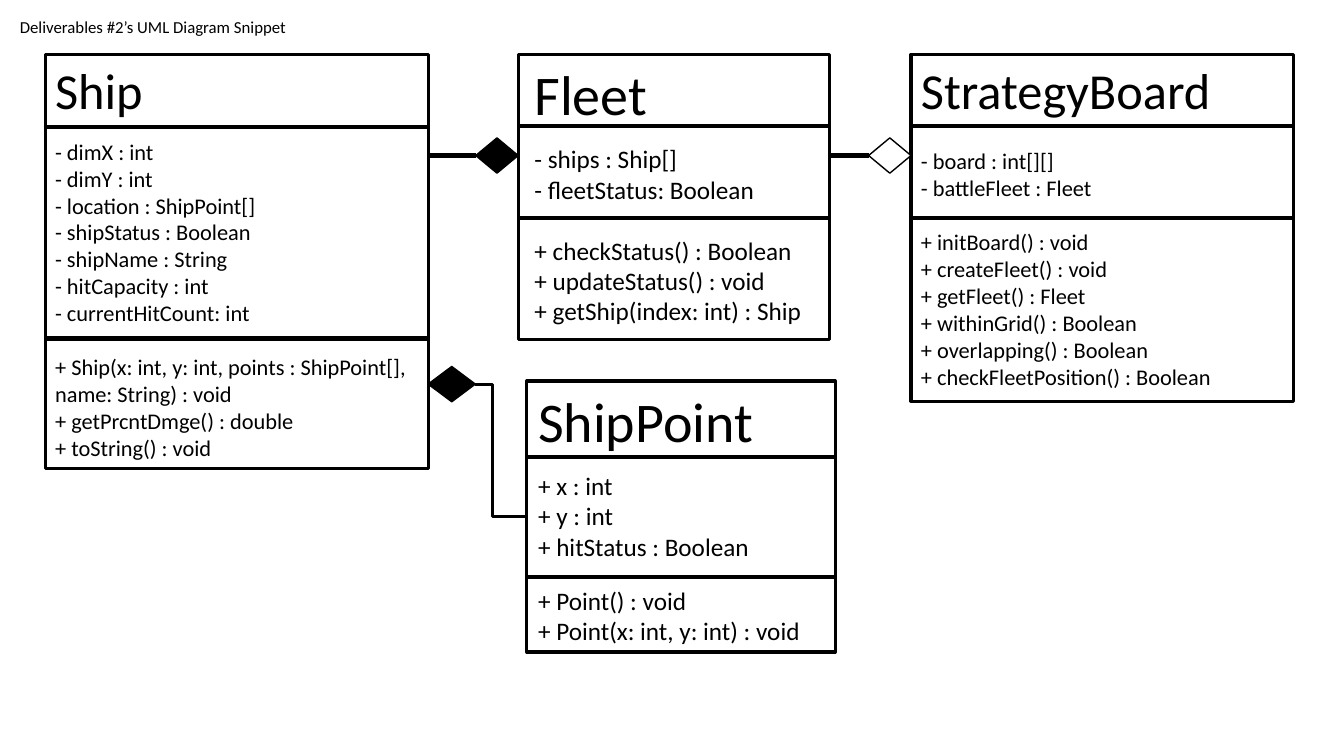
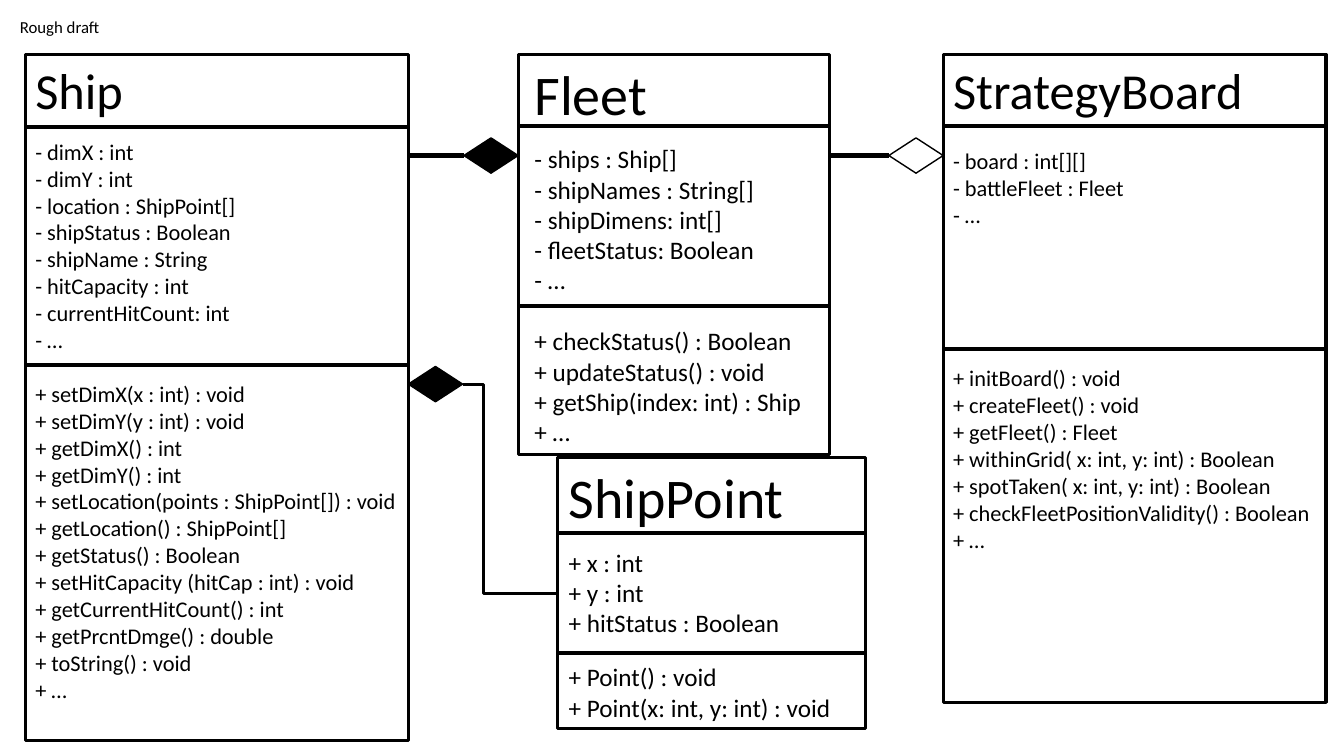
from dataclasses import dataclass

from lxml import etree
from pptx import Presentation
from pptx.dml.color import RGBColor
from pptx.enum.shapes import MSO_CONNECTOR, MSO_SHAPE
from pptx.enum.text import MSO_ANCHOR, MSO_AUTO_SIZE, PP_ALIGN
from pptx.oxml.ns import qn
from pptx.shapes.autoshape import Shape
from pptx.shapes.connector import Connector
from pptx.slide import Slide
from pptx.text.text import TextFrame
from pptx.util import Cm, Pt

STRAIGHT, ELBOW = MSO_CONNECTOR.STRAIGHT, MSO_CONNECTOR.ELBOW
RECTANGLE, DIAMOND = MSO_SHAPE.RECTANGLE, MSO_SHAPE.DIAMOND
TOP, LEFT_ALIGNED = MSO_ANCHOR.TOP, PP_ALIGN.LEFT
NO_AUTOFIT = MSO_AUTO_SIZE.NONE
LEFT_SIDE, RIGHT_SIDE = 1, 3

COLORS = {"ink": "000000", "paper": "FFFFFF"}
FONT = "Calibri"
LINE_HEIGHT = 1.22  # height of one Calibri line, relative to its size
TITLE_ONLY_LAYOUT = 5
TOP_ROW = 1.37
ASSOCIATION_Y = 3.92
POINT_ASSOCIATION_Y = 9.68
DIAMOND_HEIGHT = 0.89


@dataclass(frozen=True)
class Section:
    divider: float  # cm below the top of the class box
    gap: float  # size in points of the line left free above the members
    members: tuple[str, ...]


@dataclass(frozen=True)
class ClassBox:
    name: str
    left: float
    top: float
    width: float
    height: float
    inset: float
    name_size: int
    member_size: int
    sections: tuple[Section, Section]

    @property
    def right(self) -> float:
        return self.left + self.width


@dataclass(frozen=True)
class Diagram:
    caption: str
    ship: ClassBox
    fleet: ClassBox
    board: ClassBox
    point: ClassBox
    diamond_width: float
    point_diamond_width: float
    elbow: float  # share of the width at which the connector turns


# Class boxes, one function per class
SHIP_FIELDS = (
    "- dimX : int", "- dimY : int", "- location : ShipPoint[]",
    "- shipStatus : Boolean", "- shipName : String",
    "- hitCapacity : int", "- currentHitCount: int",
)
SHIP_QUERIES = ("+ getPrcntDmge() : double", "+ toString() : void")
FLEET_METHODS = (
    "+ checkStatus() : Boolean", "+ updateStatus() : void",
    "+ getShip(index: int) : Ship",
)
BOARD_FIELDS = ("- board : int[][]", "- battleFleet : Fleet")
BOARD_METHODS = (
    "+ initBoard() : void", "+ createFleet() : void", "+ getFleet() : Fleet",
)
MORE_FIELDS, MORE_METHODS = ("- …",), ("+ …",)


def ship_box(left: float, height: float, divider: float,
             fields: tuple[str, ...], methods: tuple[str, ...]) -> ClassBox:
    return ClassBox("Ship", left, TOP_ROW, 9.65, height, 0.25, 36, 16,
                    (Section(1.83, 10.5, fields), Section(divider, 16, methods)))


def fleet_box(height: float, divider: float,
              fields: tuple[str, ...], methods: tuple[str, ...]) -> ClassBox:
    return ClassBox("Fleet", 13.06, TOP_ROW, 7.85, height, 0.41, 40, 18,
                    (Section(1.81, 10, fields), Section(divider, 18, methods)))


def board_box(left: float, height: float, divider: float, gap: float,
              fields: tuple[str, ...], methods: tuple[str, ...]) -> ClassBox:
    return ClassBox("StrategyBoard", left, TOP_ROW, 9.65, height, 0.25, 36, 16,
                    (Section(1.81, 16, fields), Section(divider, gap, methods)))


def point_box(left: float, top: float) -> ClassBox:
    fields = ("+ x : int", "+ y : int", "+ hitStatus : Boolean")
    methods = ("+ Point() : void", "+ Point(x: int, y: int) : void")
    return ClassBox("ShipPoint", left, top, 7.77, 6.83, 0.28, 40, 18,
                    (Section(1.91, 10, fields), Section(4.93, 14, methods)))


DIAGRAMS = (
    Diagram(
        "Deliverables #2’s UML Diagram Snippet",
        ship_box(1.14, 10.44, 7.16, SHIP_FIELDS, (
            "+ Ship(x: int, y: int, points : ShipPoint[], name: String) : void",
            *SHIP_QUERIES)),
        fleet_box(7.19, 4.12, ("- ships : Ship[]", "- fleetStatus: Boolean"),
                  FLEET_METHODS),
        board_box(22.96, 8.74, 4.12, 16, BOARD_FIELDS, (
            *BOARD_METHODS, "+ withinGrid() : Boolean",
            "+ overlapping() : Boolean", "+ checkFleetPosition() : Boolean")),
        point_box(13.28, 9.6),
        diamond_width=1.07, point_diamond_width=1.19, elbow=0.33,
    ),
    Diagram(
        "Rough draft",
        ship_box(0.64, 17.3, 7.82, SHIP_FIELDS + MORE_FIELDS, (
            "+ setDimX(x : int) : void", "+ setDimY(y : int) : void",
            "+ getDimX() : int", "+ getDimY() : int",
            "+ setLocation(points : ShipPoint[]) : void",
            "+ getLocation() : ShipPoint[]", "+ getStatus() : Boolean",
            "+ setHitCapacity (hitCap : int) : void",
            "+ getCurrentHitCount() : int", *SHIP_QUERIES, *MORE_METHODS)),
        fleet_box(10.08, 6.35, (
            "- ships : Ship[]", "- shipNames : String[]",
            "- shipDimens: int[]", "- fleetStatus: Boolean", *MORE_FIELDS),
            FLEET_METHODS + MORE_METHODS),
        board_box(23.77, 16.33, 7.42, 80, BOARD_FIELDS + MORE_FIELDS, (
            *BOARD_METHODS, "+ withinGrid( x: int, y: int) : Boolean",
            "+ spotTaken( x: int, y: int) : Boolean",
            "+ checkFleetPositionValidity() : Boolean", *MORE_METHODS)),
        point_box(14.05, 11.53),
        diamond_width=1.37, point_diamond_width=1.37, elbow=0.22,
    ),
)


def color(name: str) -> RGBColor:
    return RGBColor.from_string(COLORS[name])


def write_line(frame: TextFrame, text: str, size: float, first: bool = False,
               space_before: float = 0) -> None:
    paragraph = frame.paragraphs[0] if first else frame.add_paragraph()
    paragraph.alignment = LEFT_ALIGNED
    paragraph.space_before = Pt(space_before)
    run = paragraph.add_run()
    run.text = text
    run.font.name = FONT
    run.font.size = Pt(size)
    run.font.color.rgb = color("ink")


def add_outlined(slide: Slide, kind: MSO_SHAPE, left: float, top: float,
                 width: float, height: float, fill: str, weight: float) -> Shape:
    shape = slide.shapes.add_shape(kind, Cm(left), Cm(top), Cm(width), Cm(height))
    shape.shadow.inherit = False
    shape.fill.solid()
    shape.fill.fore_color.rgb = color(fill)
    shape.line.color.rgb = color("ink")
    shape.line.width = Pt(weight)
    return shape


def add_line(slide: Slide, start: tuple[float, float], end: tuple[float, float],
             kind: MSO_CONNECTOR = STRAIGHT, weight: float = 3) -> Connector:
    connector = slide.shapes.add_connector(
        kind, Cm(start[0]), Cm(start[1]), Cm(end[0]), Cm(end[1]))
    connector.line.color.rgb = color("ink")
    connector.line.width = Pt(weight)
    properties = connector._element.find(qn("p:spPr"))
    etree.SubElement(properties, qn("a:effectLst"))
    return connector


def add_class_box(slide: Slide, box: ClassBox) -> Shape:
    shape = add_outlined(slide, RECTANGLE, box.left, box.top, box.width,
                         box.height, "paper", 2.25)
    frame = shape.text_frame
    frame.word_wrap = True
    frame.vertical_anchor = TOP
    frame.margin_left = Cm(box.inset)
    frame.margin_right = Cm(0.25)
    frame.margin_top = frame.margin_bottom = Cm(0.13)
    write_line(frame, box.name, box.name_size, first=True)
    for section in box.sections:
        for index, member in enumerate(section.members):
            gap = 0 if index else round(section.gap * LINE_HEIGHT, 1)
            write_line(frame, member, box.member_size, space_before=gap)
        y = box.top + section.divider
        add_line(slide, (box.left, y), (box.right, y))
    return shape


def add_diamond(slide: Slide, left: float, center_y: float, width: float,
                fill: str) -> Shape:
    return add_outlined(slide, DIAMOND, left, center_y - DIAMOND_HEIGHT / 2,
                        width, DIAMOND_HEIGHT, fill, 1)


def associate(slide: Slide, part: ClassBox, whole: ClassBox, width: float,
              fill: str) -> None:
    left = whole.left - width
    diamond = add_diamond(slide, left, ASSOCIATION_Y, width, fill)
    connector = add_line(slide, (part.right, ASSOCIATION_Y), (left, ASSOCIATION_Y))
    connector.end_connect(diamond, LEFT_SIDE)


def associate_point(slide: Slide, diagram: Diagram, point_shape: Shape) -> None:
    ship, point = diagram.ship, diagram.point
    width = diagram.point_diamond_width
    diamond = add_diamond(slide, ship.right, POINT_ASSOCIATION_Y, width, "ink")
    connector = add_line(slide, (ship.right + width, POINT_ASSOCIATION_Y),
                         (point.left, point.top + point.height / 2), ELBOW, 2.25)
    connector.begin_connect(diamond, RIGHT_SIDE)
    connector.end_connect(point_shape, LEFT_SIDE)
    # Place of the turn
    geometry = connector._element.find(qn("p:spPr")).find(qn("a:prstGeom"))
    adjustments = geometry.find(qn("a:avLst"))
    if adjustments is None:
        adjustments = etree.SubElement(geometry, qn("a:avLst"))
    etree.SubElement(adjustments, qn("a:gd"), name="adj1",
                     fmla=f"val {round(diagram.elbow * 100000)}")


def add_caption(slide: Slide, text: str) -> None:
    title = slide.shapes.title
    title.left, title.top, title.width, title.height = (
        Cm(0.25), Cm(0.28), Cm(7.3), Cm(0.77))
    frame = title.text_frame
    frame.auto_size = NO_AUTOFIT
    frame.word_wrap = False
    frame.vertical_anchor = TOP
    frame.margin_left = frame.margin_right = Cm(0.25)
    frame.margin_top = frame.margin_bottom = Cm(0.13)
    write_line(frame, text, 12, first=True)


def build_slide(presentation: Presentation, diagram: Diagram) -> None:
    layout = presentation.slide_layouts[TITLE_ONLY_LAYOUT]
    slide = presentation.slides.add_slide(layout)
    add_caption(slide, diagram.caption)
    point_shape = add_class_box(slide, diagram.point)
    for box in (diagram.fleet, diagram.ship, diagram.board):
        add_class_box(slide, box)
    associate(slide, diagram.ship, diagram.fleet, diagram.diamond_width, "ink")
    associate(slide, diagram.fleet, diagram.board, diagram.diamond_width, "paper")
    associate_point(slide, diagram, point_shape)


def main() -> None:
    presentation = Presentation()
    presentation.slide_width, presentation.slide_height = Cm(33.87), Cm(19.05)
    for diagram in DIAGRAMS:
        build_slide(presentation, diagram)
    presentation.save("out.pptx")


if __name__ == "__main__":
    main()
